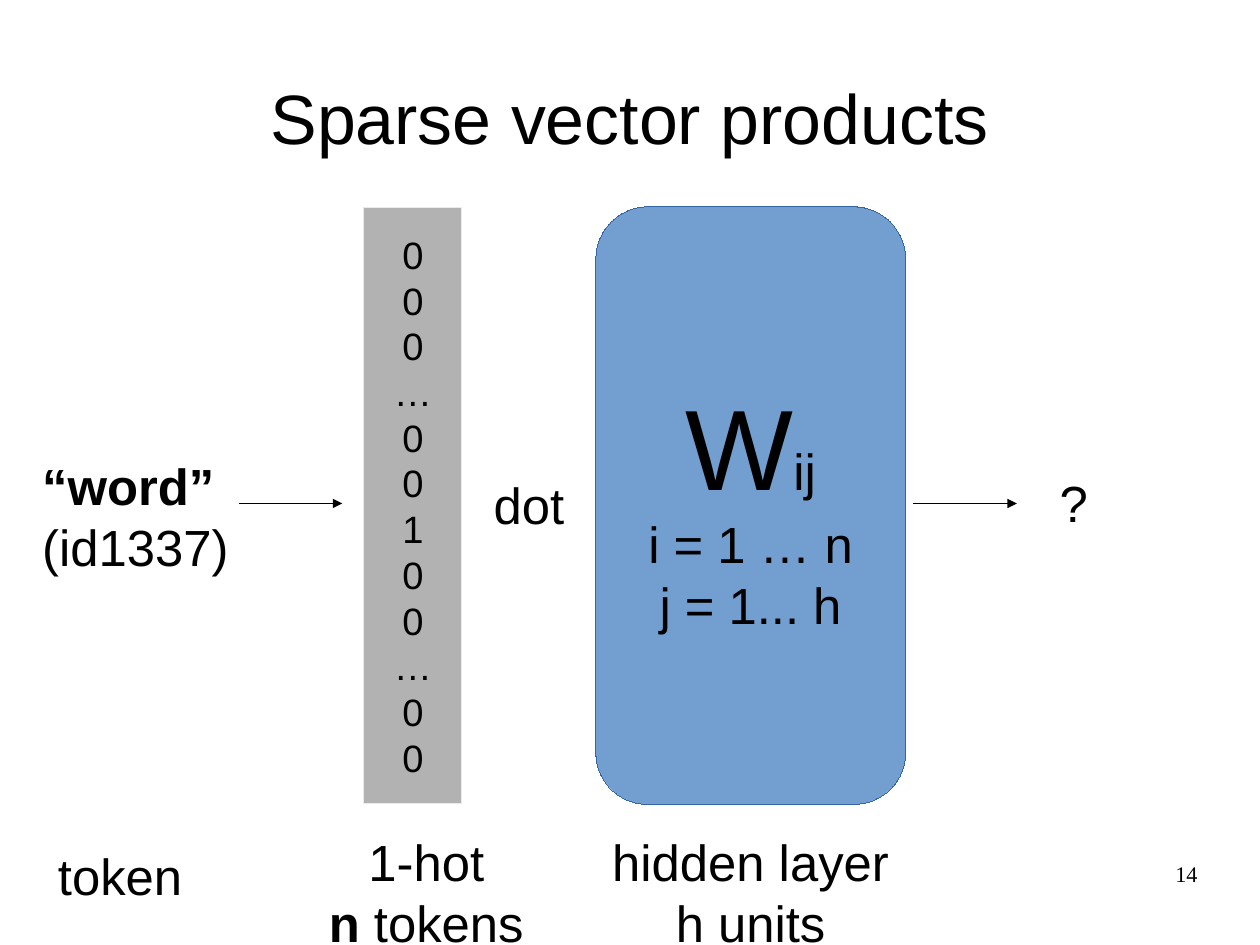
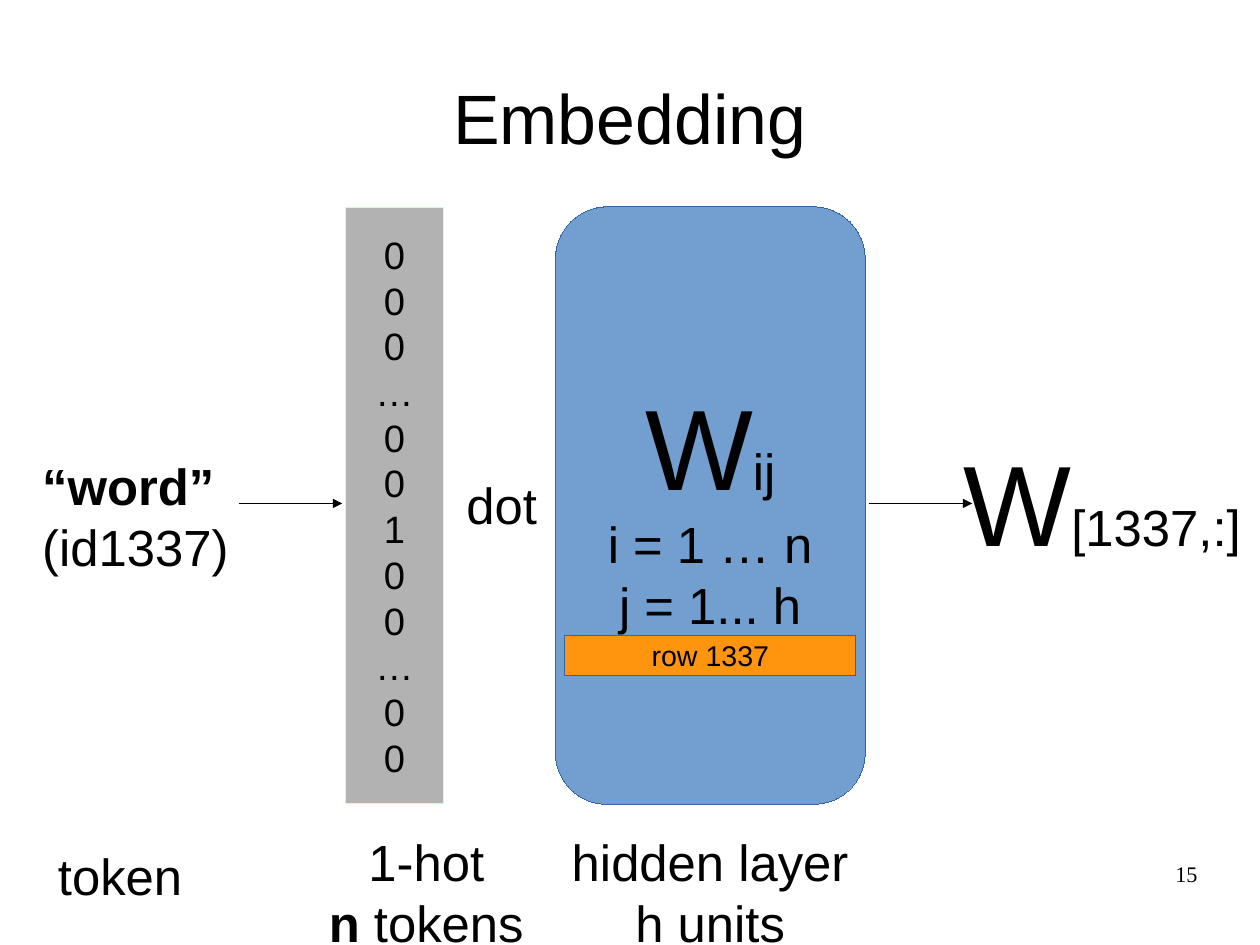
from pptx import Presentation
from pptx import util as u
from pptx.dml.color import RGBColor
from pptx.enum import shapes, text
from pptx.oxml.ns import qn
from lxml import etree

BLACK = RGBColor(0x00, 0x00, 0x00)
GREY = RGBColor(0xB2, 0xB2, 0xB2)
PALE_GREEN = RGBColor(0xCC, 0xFF, 0xCC)
BLUE = RGBColor(0x72, 0x9F, 0xCF)
DARK_BLUE = RGBColor(0x34, 0x65, 0xA4)
ORANGE = RGBColor(0xFF, 0x95, 0x0E)

SANS, SERIF = "Arial", "Times New Roman"
HUGE, TITLE, BODY, DIGIT, SMALL, PAGE = 72, 44, 32, 24, 18, 14
LEFT, CENTER, RIGHT = text.PP_ALIGN.LEFT, text.PP_ALIGN.CENTER, text.PP_ALIGN.RIGHT
TOP, MIDDLE = text.MSO_ANCHOR.TOP, text.MSO_ANCHOR.MIDDLE
HAIRLINE = u.Emu(1)

# The slide is a grid of 24 columns by 18 rows
WIDTH, HEIGHT = u.Cm(28), u.Cm(21)
COLUMN, ROW = WIDTH / 24, HEIGHT / 18

# Parts that both slides place alike
FLOW_ROW = 9.59
ARROW_COLUMNS = 1.97
MATRIX_COLUMNS = 5.9
CAPTION_ROW, CAPTION_ROWS = 15.71, 2.4
HIDDEN_COLUMNS = 9.23
ROW_STRIP_COLUMNS = 5.55
VECTOR = "000…00100…00"


def grid(left, top, width, height):
    return (round(left * COLUMN), round(top * ROW),
            round(width * COLUMN), round(height * ROW))


def write(frame, paragraphs, align=LEFT, anchor=TOP, font=SANS,
          inset=(0.1, 0.05), wrap=True):
    """Each paragraph is a list of (words, size) or (words, size, bold) runs."""
    frame.word_wrap = wrap
    frame.vertical_anchor = anchor
    frame.margin_left = frame.margin_right = u.Inches(inset[0])
    frame.margin_top = frame.margin_bottom = u.Inches(inset[1])
    for index, runs in enumerate(paragraphs):
        paragraph = frame.paragraphs[0] if index == 0 else frame.add_paragraph()
        paragraph.alignment = align
        for words, size, *bold in runs:
            run = paragraph.add_run()
            run.text = words
            run.font.name = font
            run.font.size = u.Pt(size)
            run.font.bold = bool(bold and bold[0])
            run.font.color.rgb = BLACK


def add_label(slide, place, paragraphs, **style):
    write(slide.shapes.add_textbox(*grid(*place)).text_frame, paragraphs, **style)


def add_block(slide, preset, place, fill, outline, paragraphs):
    block = slide.shapes.add_shape(preset, *grid(*place))
    block.shadow.inherit = False
    block.fill.solid()
    block.fill.fore_color.rgb = fill
    block.line.color.rgb = outline
    block.line.width = HAIRLINE
    write(block.text_frame, paragraphs, CENTER, MIDDLE, wrap=False)


def add_arrow(slide, left):
    x, y, length, _ = grid(left, FLOW_ROW, ARROW_COLUMNS, 0)
    arrow = slide.shapes.add_connector(
        shapes.MSO_CONNECTOR.STRAIGHT, x, y, x + length, y)
    arrow.line.color.rgb = BLACK
    arrow.line.width = HAIRLINE
    properties = arrow._element.spPr
    etree.SubElement(properties.find(qn("a:ln")), qn("a:tailEnd"), type="triangle")
    etree.SubElement(properties, qn("a:effectLst"))


def add_product_slide(deck, title, page, vector, dot, matrix, output_arrow,
                      result_place, result, row_strip=None):
    slide = deck.slides.add_slide(deck.slide_layouts[5])
    heading = slide.shapes.title
    heading.left, heading.top, heading.width, heading.height = grid(1.2, 0.72, 21.6, 3)
    write(heading.text_frame, [[(title, TITLE)]], CENTER, MIDDLE, inset=(0, 0))

    # Token and its one-hot vector
    add_label(slide, (0.59, 8.55, 4.64, 2.4),
              [[("“word”", BODY, True)], [("(id1337)", BODY)]])
    add_arrow(slide, 4.55)
    add_block(slide, shapes.MSO_SHAPE.RECTANGLE, (vector, 3.96, 1.87, 11.34),
              GREY, PALE_GREEN, [[(digit, DIGIT)] for digit in VECTOR])

    # Captions under the columns
    add_label(slide, (0.89, 15.98, 2.9, 1.5), [[("token", BODY)]])
    add_label(slide, (5.53, CAPTION_ROW, 5.18, CAPTION_ROWS),
              [[("1-hot", BODY)], [("n", BODY, True), (" tokens", BODY)]],
              align=CENTER)
    hidden = matrix + (MATRIX_COLUMNS - HIDDEN_COLUMNS) / 2
    add_label(slide, (hidden, CAPTION_ROW, HIDDEN_COLUMNS, CAPTION_ROWS),
              [[("hidden layer", BODY)], [("h units", BODY)]], align=CENTER)

    # Weight matrix and the result
    add_block(slide, shapes.MSO_SHAPE.ROUNDED_RECTANGLE,
              (matrix, 3.94, MATRIX_COLUMNS, 11.38), BLUE, DARK_BLUE,
              [[("W", HUGE), ("ij", BODY)],
               [("i = 1 … n", BODY)], [("j = 1... h", BODY)]])
    add_label(slide, (dot, 8.92, 3.53, 1.31), [[("dot", BODY)]])
    add_arrow(slide, output_arrow)
    add_label(slide, result_place, [result])
    if row_strip:
        strip = matrix + (MATRIX_COLUMNS - ROW_STRIP_COLUMNS) / 2
        add_block(slide, shapes.MSO_SHAPE.RECTANGLE,
                  (strip, 12.1, ROW_STRIP_COLUMNS, 0.76),
                  ORANGE, DARK_BLUE, [[(row_strip, SMALL)]])

    # Page number
    add_label(slide, (17.21, 16.39, 5.6, 1.24), [[(page, PAGE)]],
              align=RIGHT, font=SERIF, inset=(0, 0))


def main():
    deck = Presentation()
    deck.slide_width, deck.slide_height = WIDTH, HEIGHT
    add_product_slide(deck, "Sparse vector products", "14",
                      vector=6.93, dot=9.19, matrix=11.35, output_arrow=17.4,
                      result_place=(19.97, 8.88, 1.79, 1.31),
                      result=[("?", BODY)])
    add_product_slide(deck, "Embedding", "15",
                      vector=6.58, dot=8.67, matrix=10.58, output_arrow=16.55,
                      result_place=(18.14, 8.12, 6.23, 2.66),
                      result=[("W", HUGE), ("[1337,:]", BODY)],
                      row_strip="row 1337")
    deck.save("out.pptx")


if __name__ == "__main__":
    main()
